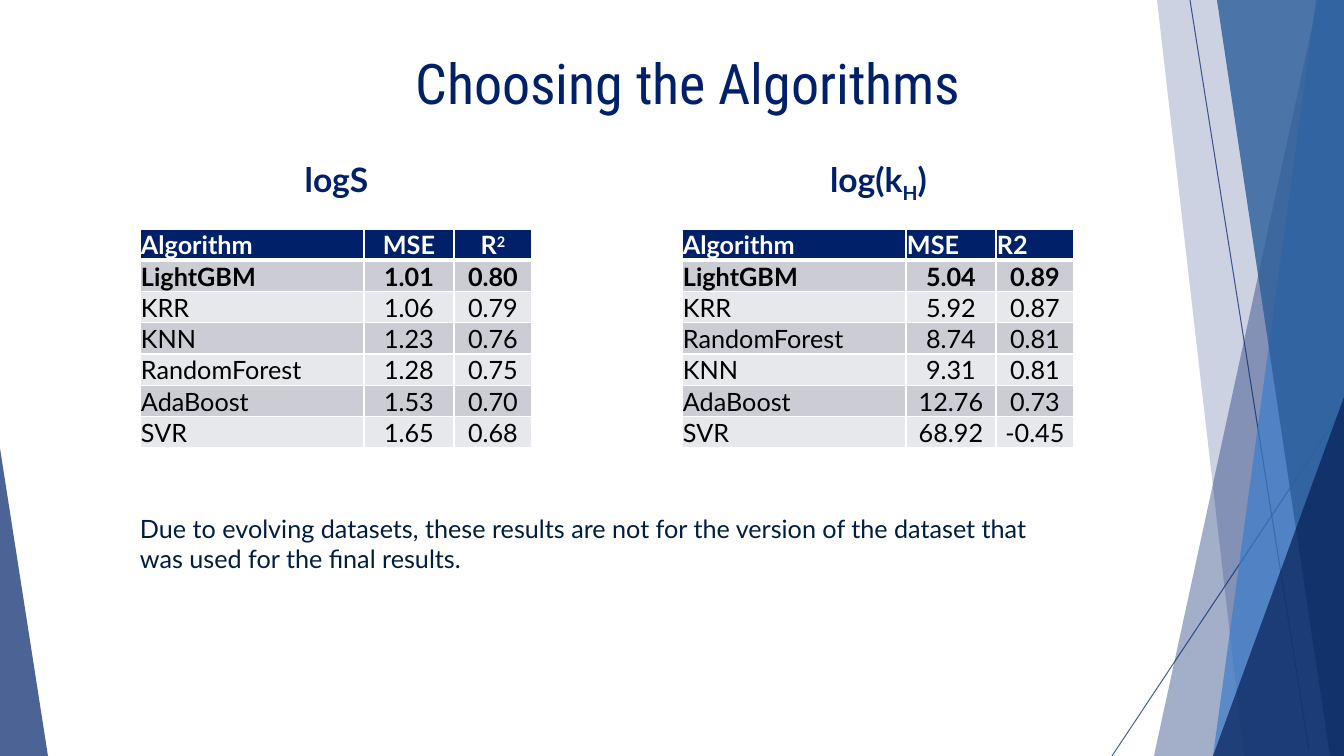
"""Build the slide that compares algorithms for two prediction targets."""
from dataclasses import dataclass

from lxml.etree import SubElement
from pptx import Presentation
from pptx.dml.color import RGBColor
from pptx.enum.shapes import MSO_CONNECTOR, MSO_SHAPE
from pptx.enum.text import MSO_ANCHOR, MSO_AUTO_SIZE, PP_ALIGN
from pptx.oxml.ns import qn
from pptx.shapes.base import BaseShape
from pptx.slide import Slide
from pptx.table import _Cell
from pptx.text.text import TextFrame
from pptx.util import Pt

EMU_PER_PX = 914400 / 100.8
WIDTH, HEIGHT = 1344, 756
NAVY, WHITE, BLACK = "002169", "FFFFFF", "000000"
BANDS = ("E7E8EB", "CCCDD4")
TABLE_TOP, ROW_HEIGHT = 229, 31
COLUMN_WIDTHS = (224, 90, 78)


@dataclass(frozen=True)
class Facet:
    """A translucent polygon of the side decoration."""
    points: tuple[tuple[int, int], ...]
    color: str
    opacity: int


@dataclass(frozen=True)
class Corner:
    """A translucent triangle with its apex above one end of its base."""
    box: tuple[int, int, int, int]
    apex: float
    color: str
    opacity: int


@dataclass(frozen=True)
class Ray:
    """A thin line of the side decoration."""
    start: tuple[int, int]
    end: tuple[int, int]


@dataclass(frozen=True)
class Comparison:
    """A heading and the score table under it."""
    heading: tuple[tuple[str, int], ...]
    heading_left: int
    table_left: int
    score_label: tuple[tuple[str, int], ...]
    header_align: PP_ALIGN
    rows: tuple[tuple[str, str, str], ...]


RAYS = (Ray((1190, 0), (1309, 750)), Ray((1344, 407), (1112, 756)))
FACETS = (
    Facet(((1318, 0), (1344, 0), (1344, 756), (1154, 756)), NAVY, 36),
    Facet(((1157, 0), (1344, 0), (1344, 756), (1244, 756)), NAVY, 20),
    Facet(((1316, 0), (1344, 0), (1344, 756), (1213, 756)), "3D7CC9", 70),
    Facet(((1217, 0), (1344, 0), (1344, 756), (1330, 756)), "2B5D9A", 80),
)
CORNERS = (
    Corner((1213, 397, 131, 359), 1, "00194F", 66),
    Corner((0, 448, 48, 308), 0, NAVY, 70),
)
COMPARISONS = (
    Comparison(
        (("logS", 0),), 75, 140, (("R", 0), ("2", 30)), PP_ALIGN.CENTER,
        (("LightGBM", "1.01", "0.80"), ("KRR", "1.06", "0.79"),
         ("KNN", "1.23", "0.76"), ("RandomForest", "1.28", "0.75"),
         ("AdaBoost", "1.53", "0.70"), ("SVR", "1.65", "0.68"))),
    Comparison(
        (("log(k", 0), ("H", -25), (")", 0)), 617, 682, (("R2", 0),), PP_ALIGN.LEFT,
        (("LightGBM", "5.04", "0.89"), ("KRR", "5.92", "0.87"),
         ("RandomForest", "8.74", "0.81"), ("KNN", "9.31", "0.81"),
         ("AdaBoost", "12.76", "0.73"), ("SVR", "68.92", "-0.45"))),
)


def px(*lengths: int) -> list[int]:
    """Turn lengths in px into EMU."""
    return [round(length * EMU_PER_PX) for length in lengths]


def rgb(color: str) -> RGBColor:
    """Turn a hex string into a colour."""
    return RGBColor.from_string(color)


def write(frame: TextFrame, text: str, *, size: int = 18, color: str = BLACK,
          font: str = "Lato", bold: bool = False, baseline: int = 0,
          align: PP_ALIGN = PP_ALIGN.LEFT) -> None:
    """Append a formatted run to the first paragraph of a frame."""
    paragraph = frame.paragraphs[0]
    paragraph.alignment = align
    run = paragraph.add_run()
    run.text = text
    run.font.name = font
    run.font.size = Pt(size)
    run.font.bold = bold
    run.font.color.rgb = rgb(color)
    if baseline:
        run.font._element.set("baseline", str(baseline * 1000))


def set_opacity(shape: BaseShape, percent: int) -> None:
    """Make the colours of a shape translucent."""
    for color in shape._element.spPr.iter(qn("a:srgbClr")):
        SubElement(color, qn("a:alpha"), val=str(percent * 1000))


def paint(shape: BaseShape, color: str, opacity: int) -> None:
    """Give a shape a translucent fill without outline or shadow."""
    shape.shadow.inherit = False
    shape.fill.solid()
    shape.fill.fore_color.rgb = rgb(color)
    shape.line.fill.background()
    set_opacity(shape, opacity)


def add_decoration(slide: Slide) -> None:
    """Draw the rays, facets and corners at the slide edges."""
    for ray in RAYS:
        line = slide.shapes.add_connector(MSO_CONNECTOR.STRAIGHT, *px(*ray.start, *ray.end))
        line.line.width = Pt(0.75)
        line.line.color.rgb = rgb(NAVY)
        set_opacity(line, 70)
        SubElement(line._element.spPr, qn("a:effectLst"))
    for facet in FACETS:
        builder = slide.shapes.build_freeform(*facet.points[0], scale=EMU_PER_PX)
        builder.add_line_segments(facet.points[1:], close=True)
        paint(builder.convert_to_shape(), facet.color, facet.opacity)
    for corner in CORNERS:
        triangle = slide.shapes.add_shape(MSO_SHAPE.ISOSCELES_TRIANGLE, *px(*corner.box))
        triangle.adjustments[0] = corner.apex
        paint(triangle, corner.color, corner.opacity)


def add_text_box(slide: Slide, left: int, top: int, width: int, height: int) -> TextFrame:
    """Add a wrapping text box and return its frame."""
    frame = slide.shapes.add_textbox(*px(left, top, width, height)).text_frame
    frame.word_wrap = True
    return frame


def format_cell(cell: _Cell, row: int) -> None:
    """Set the insets, white borders and banded fill of a cell."""
    cell.margin_left, cell.margin_top, cell.margin_right, cell.margin_bottom = px(1, 1, 1, 0)
    cell.vertical_anchor = MSO_ANCHOR.BOTTOM
    widths = {"L": 1, "R": 1, "T": 3 if row == 1 else 1, "B": 3 if row == 0 else 1}
    for side, width in widths.items():
        border = SubElement(cell._tc.get_or_add_tcPr(), qn(f"a:ln{side}"), w=str(Pt(width)))
        SubElement(SubElement(border, qn("a:solidFill")), qn("a:srgbClr"), val=WHITE)
    cell.fill.solid()
    cell.fill.fore_color.rgb = rgb(BANDS[row % 2] if row else NAVY)


def add_comparison(slide: Slide, comparison: Comparison) -> None:
    """Draw a heading and its score table."""
    heading = add_text_box(slide, comparison.heading_left, 154, 523, 50)
    for text, baseline in comparison.heading:
        write(heading, text, size=24, color=NAVY, bold=True, baseline=baseline,
              align=PP_ALIGN.CENTER)
    header = ((("Algorithm", 0),), (("MSE", 0),), comparison.score_label)
    body = [[((text, 0),) for text in row] for row in comparison.rows]
    rows = [header, *body]
    table = slide.shapes.add_table(
        len(rows), len(COLUMN_WIDTHS),
        *px(comparison.table_left, TABLE_TOP, sum(COLUMN_WIDTHS), ROW_HEIGHT * len(rows))).table
    for column, width in zip(table.columns, px(*COLUMN_WIDTHS)):
        column.width = width
    for row_index, row in enumerate(rows):
        table.rows[row_index].height = px(ROW_HEIGHT)[0]
        score_align = PP_ALIGN.CENTER if row_index else comparison.header_align
        for column_index, runs in enumerate(row):
            cell = table.cell(row_index, column_index)
            format_cell(cell, row_index)
            for text, baseline in runs:
                write(cell.text_frame, text, color=BLACK if row_index else WHITE,
                      bold=row_index < 2, baseline=baseline,
                      align=score_align if column_index else PP_ALIGN.LEFT)


def main() -> None:
    """Build and save the presentation."""
    presentation = Presentation()
    presentation.slide_width, presentation.slide_height = px(WIDTH, HEIGHT)
    slide = presentation.slides.add_slide(presentation.slide_layouts[5])
    title = slide.shapes.title
    title.left, title.top, title.width, title.height = px(236, 43, 904, 99)
    title.text_frame.vertical_anchor = MSO_ANCHOR.TOP
    title.text_frame.auto_size = MSO_AUTO_SIZE.NONE
    write(title.text_frame, "Choosing the Algorithms", size=40, color=NAVY,
          font="Roboto Condensed", align=PP_ALIGN.CENTER)
    add_decoration(slide)
    for comparison in COMPARISONS:
        add_comparison(slide, comparison)
    write(add_text_box(slide, 130, 508, 934, 72),
          "Due to evolving datasets, these results are not for the version of the "
          "dataset that was used for the final results.", color="011E41")
    presentation.save("out.pptx")


if __name__ == "__main__":
    main()
